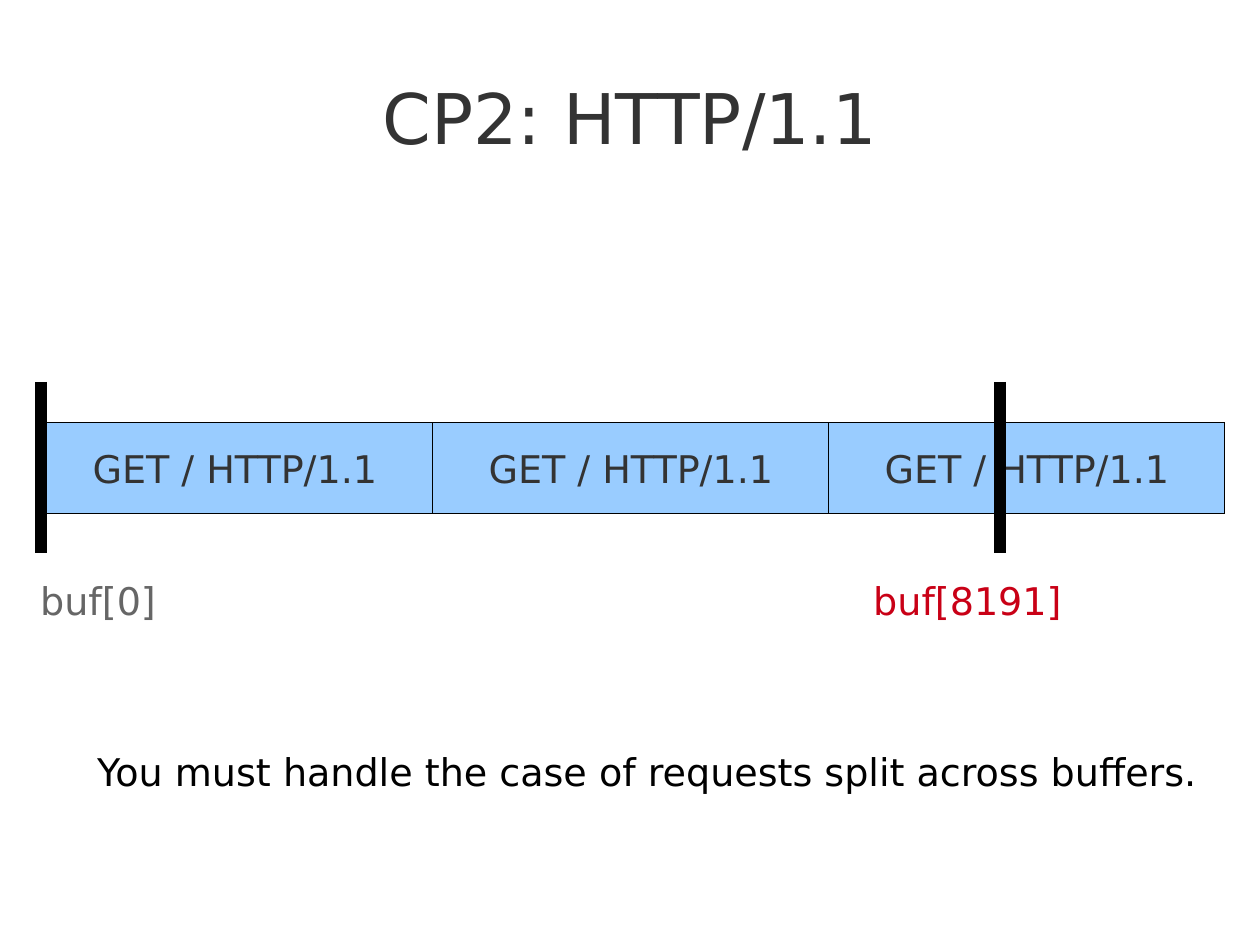
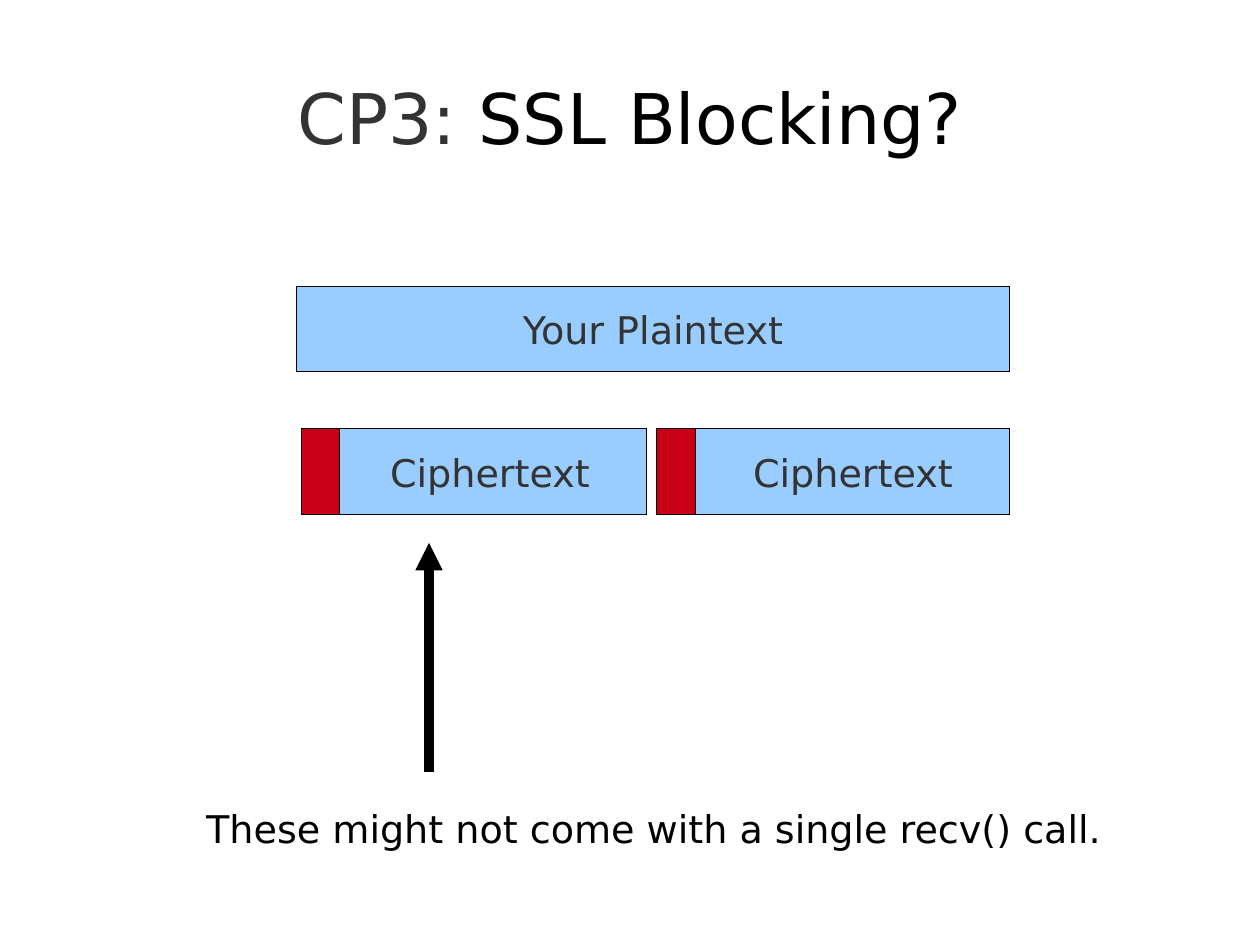
from pptx import Presentation
from pptx.dml.color import RGBColor
from pptx.enum.shapes import MSO_CONNECTOR as Connector, MSO_SHAPE as Shape
from pptx.enum.text import MSO_ANCHOR as Anchor, MSO_AUTO_SIZE as AutoSize, PP_ALIGN as Align
from pptx.oxml.ns import qn
from pptx.util import Emu, Pt
from lxml.etree import SubElement

FONT = "DejaVu Sans"
BLACK, DARK, GREY = "000000", "333333", "666666"
BLUE, RED = "99CCFF", "C90016"
TITLE_BOX = (63, 38, 1134, 158)
HAIRLINE = Emu(1)  # a width of 0 would fall back to the theme's line


def px(length):
    return Emu(length * 8000)


def color(hex_string):
    return RGBColor.from_string(hex_string)


def style(font, size, hex_string):
    font.name, font.size = FONT, Pt(size)
    font.color.rgb = color(hex_string)


def add_page(deck, title_parts):
    """Add a slide whose title is made of (text, colour) parts."""
    page = deck.slides.add_slide(deck.slide_layouts[5])
    title = page.shapes.title
    title.left, title.top, title.width, title.height = map(px, TITLE_BOX)
    frame = title.text_frame
    frame.margin_left = frame.margin_right = frame.margin_top = frame.margin_bottom = 0
    frame.vertical_anchor = Anchor.MIDDLE
    frame.auto_size = AutoSize.NONE
    para = frame.paragraphs[0]
    para.alignment = Align.CENTER
    for text, hex_string in title_parts:
        span = para.add_run()
        span.text = text
        style(span.font, 44, hex_string)
    return page


def add_block(page, box, fill, text=""):
    block = page.shapes.add_shape(Shape.RECTANGLE, *map(px, box))
    block.shadow.inherit = False
    block.fill.solid()
    block.fill.fore_color.rgb = color(fill)
    block.line.color.rgb = color(BLACK)
    block.line.width = HAIRLINE
    if text:
        block.text_frame.vertical_anchor = Anchor.MIDDLE
        para = block.text_frame.paragraphs[0]
        para.text, para.alignment = text, Align.CENTER
        style(para.font, 24, DARK)


def add_label(page, box, text, hex_string):
    frame = page.shapes.add_textbox(*map(px, box)).text_frame
    frame.word_wrap = True
    frame.auto_size = AutoSize.SHAPE_TO_FIT_TEXT
    para = frame.paragraphs[0]
    para.text = text
    style(para.font, 24, hex_string)


def add_vertical(page, x, start, end, width, arrow=False):
    line = page.shapes.add_connector(Connector.STRAIGHT, *map(px, (x, start, x, end)))
    line.line.color.rgb = color(BLACK)
    line.line.width = Pt(width)
    properties = line._element.spPr
    if arrow:
        SubElement(properties.find(qn("a:ln")), qn("a:tailEnd"), type="triangle")
    SubElement(properties, qn("a:effectLst"))


def draw_buffer(page, box):
    """Three requests in a row, with marks at both ends of the buffer."""
    left, top, width, height = box
    block_width = width // 3
    for index in range(3):
        add_block(page, (left + index * block_width, top, block_width, height),
                  BLUE, "GET / HTTP/1.1")
    for offset in (963, 4):
        add_vertical(page, left + offset, top - 41, top + height + 39, 7.2)
    label_top = top + height + 58
    for offset, text, hex_string in ((-8, "buf[0]", GREY), (825, "buf[8191]", RED)):
        add_label(page, (left + offset, label_top, 253, 56), text, hex_string)


def draw_encryption(page, box):
    """Plaintext above two ciphertext records, each led by a red header."""
    left, top, width, height = box
    right, record_top = left + width, top + 143
    add_block(page, (left, top, width, height), BLUE, "Your Plaintext")
    record_width, header_width = 314, 39
    record_lefts = (left + 37, right - record_width)
    for record_left in record_lefts:
        add_block(page, (record_left, record_top, record_width, height), BLUE, "Ciphertext")
    for header_left in (left + 5, record_lefts[1] - header_width):
        add_block(page, (header_left, record_top, header_width, height), RED)
    add_vertical(page, left + 133, record_top + 343, record_top + 114, 5.75, arrow=True)


def main():
    deck = Presentation()
    deck.slide_width, deck.slide_height = px(1260), px(945)

    # Requests split across buffers
    page = add_page(deck, [("CP2: HTTP/1.1", DARK)])
    draw_buffer(page, (37, 423, 1188, 91))
    add_label(page, (86, 743, 1150, 56),
              "You must handle the case of requests split across buffers.", BLACK)

    # Records that arrive separately
    page = add_page(deck, [("CP3: ", DARK), ("SSL Blocking?", BLACK)])
    draw_encryption(page, (296, 286, 714, 86))
    add_label(page, (195, 800, 950, 56),
              "These might not come with a single recv() call.", BLACK)

    deck.save("out.pptx")


if __name__ == "__main__":
    main()
